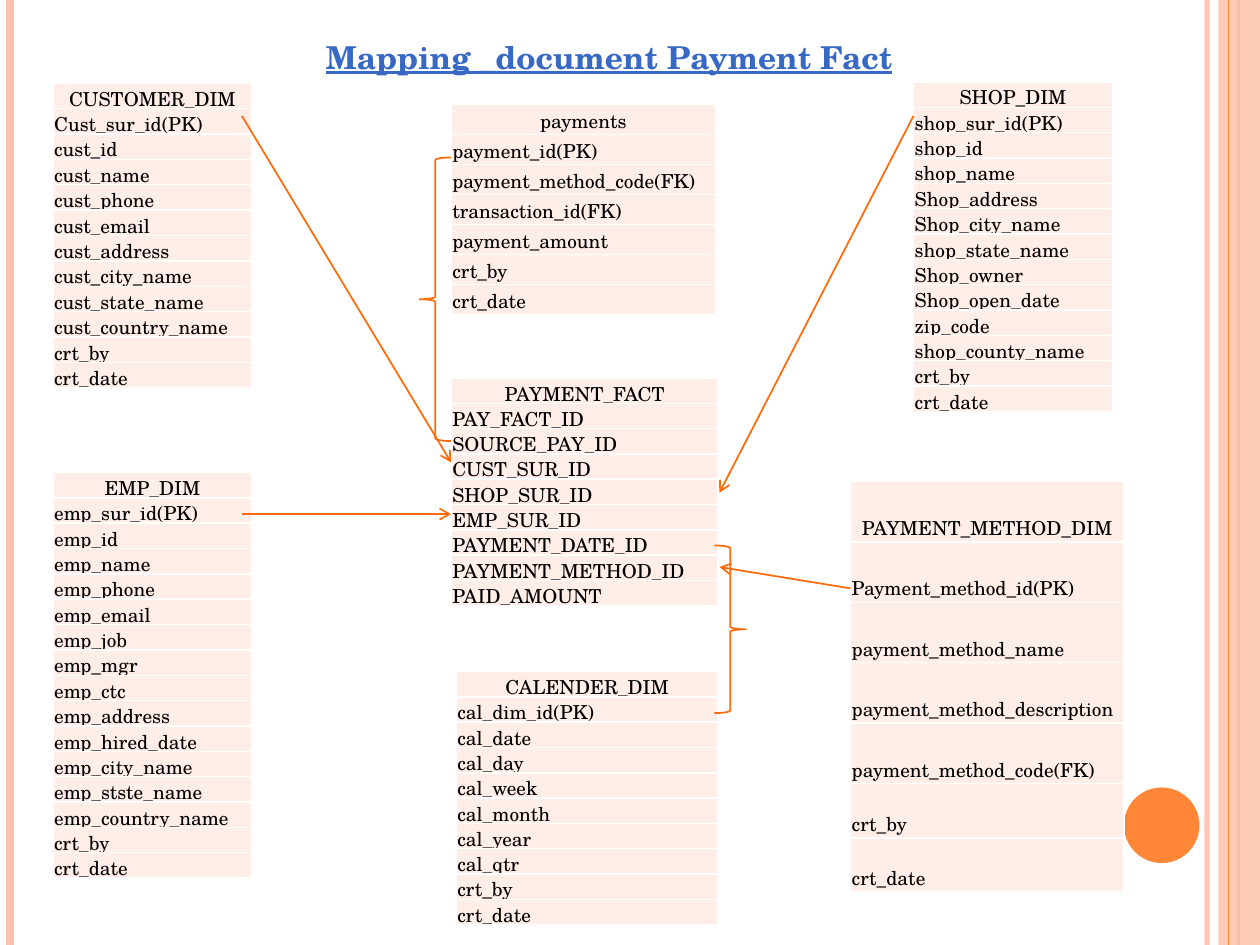
import lxml.etree
import pptx
import pptx.dml.color
import pptx.enum.shapes
import pptx.enum.text
import pptx.oxml.ns
import pptx.util
from dataclasses import dataclass

Inches = pptx.util.Inches
Pt = pptx.util.Pt
MSO_SHAPE = pptx.enum.shapes.MSO_SHAPE
ANCHOR = pptx.enum.text.MSO_ANCHOR
ALIGN = pptx.enum.text.PP_ALIGN


@dataclass(frozen=True)
class Theme:
    """Colours, font and type sizes of the slide."""
    font: str = "TeX Gyre Schola"
    title_size: int = 18
    cell_size: int = 11
    title: str = "3668C4"
    text: str = "000000"
    cell: str = "FFEDE8"
    border: str = "FFFFFF"
    pale: str = "FEC3AE"
    orange: str = "FE8637"
    link: str = "FF6B0A"


THEME = Theme()
SLIDE_WIDTH, SLIDE_HEIGHT = 10, 7.5
TITLE = "Mapping _document Payment Fact"

# left, top, width, height, anchor, heading and fields
TABLES = [
    (3.58, 3, 2.12, 1.81, ANCHOR.MIDDLE,
     "PAYMENT_FACT PAY_FACT_ID SOURCE_PAY_ID CUST_SUR_ID SHOP_SUR_ID "
     "EMP_SUR_ID PAYMENT_DATE_ID PAYMENT_METHOD_ID PAID_AMOUNT"),
    (3.58, 0.83, 2.1, 1.67, ANCHOR.BOTTOM,
     "payments payment_id(PK) payment_method_code(FK) transaction_id(FK) "
     "payment_amount crt_by crt_date"),
    (0.42, 0.66, 1.58, 2.42, ANCHOR.BOTTOM,
     "CUSTOMER_DIM Cust_sur_id(PK) cust_id cust_name cust_phone cust_email "
     "cust_address cust_city_name cust_state_name cust_country_name "
     "crt_by crt_date"),
    (7.25, 0.65, 1.58, 2.62, ANCHOR.BOTTOM,
     "SHOP_DIM shop_sur_id(PK) shop_id shop_name Shop_address Shop_city_name "
     "shop_state_name Shop_owner Shop_open_date zip_code shop_county_name "
     "crt_by crt_date"),
    (0.42, 3.75, 1.58, 3.22, ANCHOR.BOTTOM,
     "EMP_DIM emp_sur_id(PK) emp_id emp_name emp_phone emp_email emp_job "
     "emp_mgr emp_ctc emp_address emp_hired_date emp_city_name "
     "emp_stste_name emp_country_name crt_by crt_date"),
    (6.75, 3.82, 2.17, 3.27, ANCHOR.BOTTOM,
     "PAYMENT_METHOD_DIM Payment_method_id(PK) payment_method_name "
     "payment_method_description payment_method_code(FK) crt_by crt_date"),
    (3.62, 5.33, 2.08, 2.01, ANCHOR.BOTTOM,
     "CALENDER_DIM cal_dim_id(PK) cal_date cal_day cal_week cal_month "
     "cal_year cal_qtr crt_by crt_date"),
]
ROW_HEIGHTS = {"PAYMENT_METHOD_DIM": [0.48] * 5 + [0.43] * 2}

# shape, left, top, width, height
BRACES = [
    (MSO_SHAPE.LEFT_BRACE, 3.33, 1.25, 0.25, 2.25),
    (MSO_SHAPE.RIGHT_BRACE, 5.67, 4.33, 0.25, 1.33),
]
# start x, start y, end x, end y
ARROWS = [
    (1.92, 0.92, 3.58, 3.67),
    (7.25, 0.92, 5.71, 3.91),
    (1.92, 4.08, 3.58, 4.08),
    (6.75, 4.67, 5.71, 4.5),
]


def rgb(value):
    """Turn a hex string into a colour."""
    return pptx.dml.color.RGBColor.from_string(value)


def add_child(parent, tag, **attributes):
    """Append a drawing element with the given attributes."""
    child = lxml.etree.SubElement(parent, pptx.oxml.ns.qn(tag))
    for name, value in attributes.items():
        child.set(name, str(value))
    return child


def set_opacity(element, percent):
    """Make the first solid colour inside an element translucent."""
    colour = next(element.iter(pptx.oxml.ns.qn("a:srgbClr")))
    add_child(colour, "a:alpha", val=percent * 1000)


def add_text(text_frame, text, size, colour, align):
    """Write one run and return its font."""
    paragraph = text_frame.paragraphs[0]
    paragraph.alignment = align
    run = paragraph.add_run()
    run.text = text
    run.font.name = THEME.font
    run.font.size = Pt(size)
    run.font.color.rgb = rgb(colour)
    return run.font


def add_line(slide, start_x, start_y, end_x, end_y, colour, width, arrow=False):
    """Draw a straight line, with an open arrowhead if asked."""
    connector = slide.shapes.add_connector(
        pptx.enum.shapes.MSO_CONNECTOR.STRAIGHT,
        Inches(start_x), Inches(start_y), Inches(end_x), Inches(end_y))
    connector.line.color.rgb = rgb(colour)
    connector.line.width = Pt(width)
    properties = connector._element.spPr
    if arrow:
        outline = properties.find(pptx.oxml.ns.qn("a:ln"))
        add_child(outline, "a:tailEnd", type="arrow")
    add_child(properties, "a:effectLst")
    return properties


def add_shape(slide, kind, left, top, width, height, fill=None, line=None):
    """Draw a preset shape with an optional fill and outline."""
    shape = slide.shapes.add_shape(
        kind, Inches(left), Inches(top), Inches(width), Inches(height))
    shape.shadow.inherit = False
    if fill:
        shape.fill.solid()
        shape.fill.fore_color.rgb = rgb(fill)
    else:
        shape.fill.background()
    if line:
        shape.line.color.rgb = rgb(line)
        shape.line.width = Pt(1)
    else:
        shape.line.fill.background()
    return shape


def add_decoration(slide):
    """Draw the side bands and the circle."""
    def rule(x, colour, width):
        """Draw a line over the full slide height."""
        return add_line(slide, x, 0, x, SLIDE_HEIGHT, colour, width)

    set_opacity(rule(9.58, THEME.pale, 3), 93)
    rule(0.08, THEME.pale, 4.5)
    rule(9.83, THEME.orange, 1.5)
    band = add_shape(slide, MSO_SHAPE.RECTANGLE, 9.67, 0, 0.33, SLIDE_HEIGHT, THEME.pale)
    set_opacity(band._element.spPr, 87)
    rule(9.75, THEME.orange, 0.75)
    add_shape(slide, MSO_SHAPE.OVAL, 8.92, 6.25, 0.6, 0.6, THEME.orange)


def add_title(slide):
    """Write the underlined title."""
    box = slide.shapes.add_textbox(Inches(0.42), Inches(0.25), Inches(8.83), Inches(0.4))
    box.text_frame.word_wrap = True
    box.text_frame.auto_size = pptx.enum.text.MSO_AUTO_SIZE.SHAPE_TO_FIT_TEXT
    font = add_text(box.text_frame, TITLE, THEME.title_size, THEME.title, ALIGN.CENTER)
    font.bold = True
    font.underline = True


def format_cell(cell, anchor):
    """Set margins, white borders and fill of a cell."""
    cell.vertical_anchor = anchor
    cell.margin_left = cell.margin_top = cell.margin_right = Inches(0.01)
    cell.margin_bottom = 0
    properties = cell._tc.get_or_add_tcPr()
    for side in "LRTB":
        border = add_child(properties, f"a:ln{side}", w=Pt(1))
        add_child(add_child(border, "a:solidFill"), "a:srgbClr", val=THEME.border)
    cell.fill.solid()
    cell.fill.fore_color.rgb = rgb(THEME.cell)


def add_entity(slide, left, top, width, height, anchor, names):
    """Draw one entity as a single-column table."""
    names = names.split()
    heights = ROW_HEIGHTS.get(names[0], [height / len(names)] * len(names))
    table = slide.shapes.add_table(
        len(names), 1, Inches(left), Inches(top), Inches(width), Inches(height)).table
    table.horz_banding = False
    for index, (name, row_height) in enumerate(zip(names, heights)):
        table.rows[index].height = Inches(row_height)
        cell = table.cell(index, 0)
        format_cell(cell, anchor)
        align = ALIGN.LEFT if index else ALIGN.CENTER
        font = add_text(cell.text_frame, name, THEME.cell_size, THEME.text, align)
        font.bold = False


presentation = pptx.Presentation()
presentation.slide_width = Inches(SLIDE_WIDTH)
presentation.slide_height = Inches(SLIDE_HEIGHT)
slide = presentation.slides.add_slide(presentation.slide_layouts[6])
add_decoration(slide)
add_title(slide)
for entity in TABLES:
    add_entity(slide, *entity)
for brace in BRACES:
    add_shape(slide, *brace, line=THEME.link)
for arrow in ARROWS:
    add_line(slide, *arrow, THEME.link, 1, arrow=True)
presentation.save("out.pptx")
